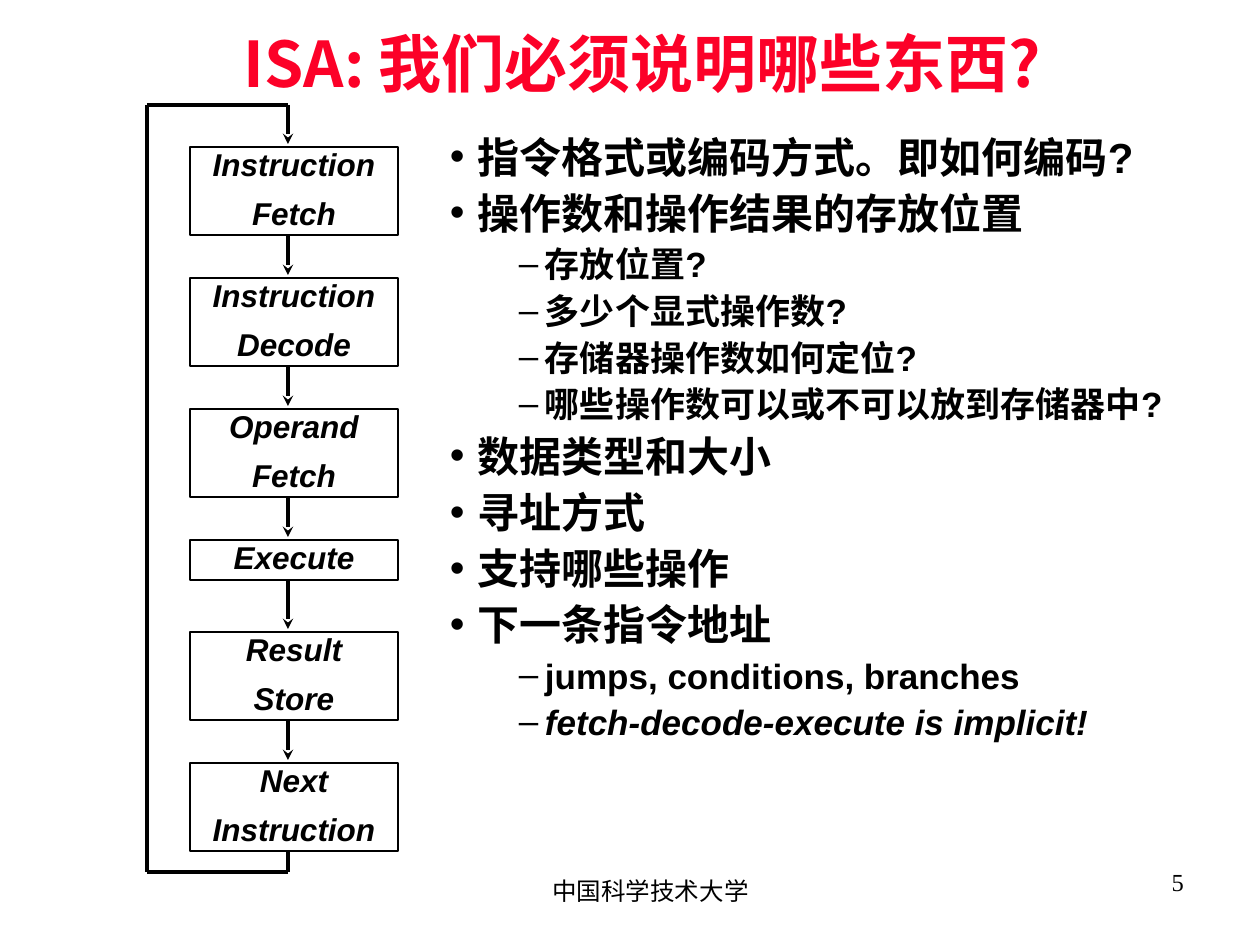
from dataclasses import dataclass
from itertools import pairwise
from lxml import etree
from pptx import Presentation
from pptx.dml.color import RGBColor
from pptx.enum.shapes import MSO_CONNECTOR, MSO_SHAPE
from pptx.enum.text import MSO_ANCHOR, MSO_AUTO_SIZE, PP_ALIGN
from pptx.oxml.ns import qn
from pptx.util import Pt

SCALE = 914400 / 126
LEFT, CENTER, RIGHT = PP_ALIGN.LEFT, PP_ALIGN.CENTER, PP_ALIGN.RIGHT
TOP, MIDDLE = MSO_ANCHOR.TOP, MSO_ANCHOR.MIDDLE
NO_FIT = MSO_AUTO_SIZE.NONE
STRAIGHT, RECT = MSO_CONNECTOR.STRAIGHT, MSO_SHAPE.RECTANGLE


@dataclass(frozen=True)
class Theme:
    ink: str = "000000"
    red: str = "FC0128"
    sans: str = "Arial"
    serif: str = "Times New Roman"
    asian: str = "Noto Sans CJK SC"
    title: int = 36
    item: int = 24
    sub: int = 20
    step: int = 18
    foot: int = 14
    thin: int = 1
    thick: int = 2


THEME = Theme()

STEPS = [
    ["Instruction", "Fetch"],
    ["Instruction", "Decode"],
    ["Operand", "Fetch"],
    ["Execute"],
    ["Result", "Store"],
    ["Next", "Instruction"],
]

ITEMS = [
    (0, "指令格式或编码方式。即如何编码?"),
    (0, "操作数和操作结果的存放位置"),
    (1, "存放位置?"),
    (1, "多少个显式操作数?"),
    (1, "存储器操作数如何定位?"),
    (1, "哪些操作数可以或不可以放到存储器中?"),
    (0, "数据类型和大小"),
    (0, "寻址方式"),
    (0, "支持哪些操作"),
    (0, "下一条指令地址"),
    (1, "jumps, conditions, branches"),
    (1, "fetch-decode-execute is implicit!"),
]

LEVELS = [
    {"mark": "•", "left": 28, "hang": 28, "size": THEME.item, "gap": 9},
    {"mark": "–", "left": 95, "hang": 26, "size": THEME.sub, "gap": 7.5},
]


def px(value):
    return round(value * SCALE)


def put(target, **values):
    for name, value in values.items():
        setattr(target, name, value)


def place(shape, x, y, w, h):
    put(shape, left=px(x), top=px(y), width=px(w), height=px(h))


def frame(shape, anchor=TOP, side=9, edge=4):
    text = shape.text_frame
    put(text, auto_size=NO_FIT, word_wrap=True, vertical_anchor=anchor,
        margin_left=px(side), margin_right=px(side),
        margin_top=px(edge), margin_bottom=px(edge))
    return text


def write(para, words, size, name, color=THEME.ink, **style):
    run = para.add_run()
    run.text = words
    put(run.font, size=Pt(size), name=name, **style)
    run.font.color.rgb = RGBColor.from_string(color)
    asian = etree.SubElement(run.font._element, qn("a:ea"))
    asian.set("typeface", THEME.asian)


def line_up(text, count):
    for _ in range(count - 1):
        text.add_paragraph()
    return text.paragraphs


def bullet(para, level):
    props = para._p.get_or_add_pPr()
    props.set("marL", str(px(level["left"])))
    props.set("indent", str(-px(level["hang"])))
    tint = etree.SubElement(props, qn("a:buClr"))
    etree.SubElement(tint, qn("a:srgbClr")).set("val", THEME.ink)
    etree.SubElement(props, qn("a:buFont")).set("typeface", THEME.sans)
    etree.SubElement(props, qn("a:buChar")).set("char", level["mark"])


def draw_title(slide, x, y, w, h):
    shape = slide.shapes.title
    place(shape, x, y, w, h)
    para = frame(shape).paragraphs[0]
    put(para, alignment=CENTER, line_spacing=0.9)
    write(para, "ISA: 我们必须说明哪些东西?", THEME.title, THEME.asian,
          THEME.red, bold=True)


def draw_list(slide, x, y, w, h):
    shape = slide.placeholders[1]
    place(shape, x, y, w, h)
    paras = line_up(frame(shape), len(ITEMS))
    for index, (para, (depth, words)) in enumerate(zip(paras, ITEMS)):
        level = LEVELS[depth]
        put(para, level=depth, alignment=LEFT, line_spacing=0.8,
            space_before=Pt(level["gap"] if index else 0))
        bullet(para, level)
        write(para, words, level["size"], THEME.sans, bold=True,
              italic=index == len(ITEMS) - 1)


def draw_line(slide, start, end, arrow=False):
    line = slide.shapes.add_connector(
        STRAIGHT, *(px(value) for value in (*start, *end)))
    line.line.width = Pt(THEME.thick)
    line.line.color.rgb = RGBColor.from_string(THEME.ink)
    if arrow:
        tail = etree.SubElement(line.line._get_or_add_ln(), qn("a:tailEnd"))
        tail.set("type", "stealth")
    etree.SubElement(line._element.spPr, qn("a:effectLst"))


def draw_step(slide, words, x, y, w, h):
    shape = slide.shapes.add_shape(RECT, px(x), px(y), px(w), px(h))
    shape.shadow.inherit = False
    shape.fill.background()
    shape.line.width = Pt(THEME.thin)
    shape.line.color.rgb = RGBColor.from_string(THEME.ink)
    paras = line_up(frame(shape), len(words))
    for index, (para, word) in enumerate(zip(paras, words)):
        put(para, alignment=CENTER, line_spacing=0.86,
            space_before=Pt(9 if index else 0))
        write(para, word, THEME.step, THEME.sans, bold=True, italic=True)


def draw_flow(slide, x, y, w, h):
    inset, axis, top, prior = 43, x + 141, y + 42, y
    for words in STEPS:
        high = 88 if len(words) > 1 else 40
        draw_step(slide, words, x + inset, top, w - inset, high)
        draw_line(slide, (axis, prior), (axis, top - 3), arrow=True)
        prior = top + high
        top = prior + (43 if len(words) > 1 else 52)
    loop = [(axis, prior), (axis, y + h), (x, y + h), (x, y), (axis, y)]
    for start, end in pairwise(loop):
        draw_line(slide, start, end)


def draw_foot(slide, words, align, anchor, x, y, w, h):
    shape = slide.shapes.add_textbox(px(x), px(y), px(w), px(h))
    para = frame(shape, anchor, 13, 6).paragraphs[0]
    para.alignment = align
    write(para, words, THEME.foot, THEME.serif)


def main():
    deck = Presentation()
    put(deck, slide_width=px(1260), slide_height=px(945))
    slide = deck.slides.add_slide(deck.slide_layouts[1])
    draw_foot(slide, "中国科学技术大学", CENTER, MIDDLE, 451, 859, 399, 63)
    draw_foot(slide, "5", RIGHT, TOP, 903, 861, 294, 66)
    draw_title(slide, 98, 29, 1089, 76)
    draw_flow(slide, 147, 105, 251, 767)
    draw_list(slide, 441, 137, 730, 702)
    deck.save("out.pptx")


if __name__ == "__main__":
    main()
